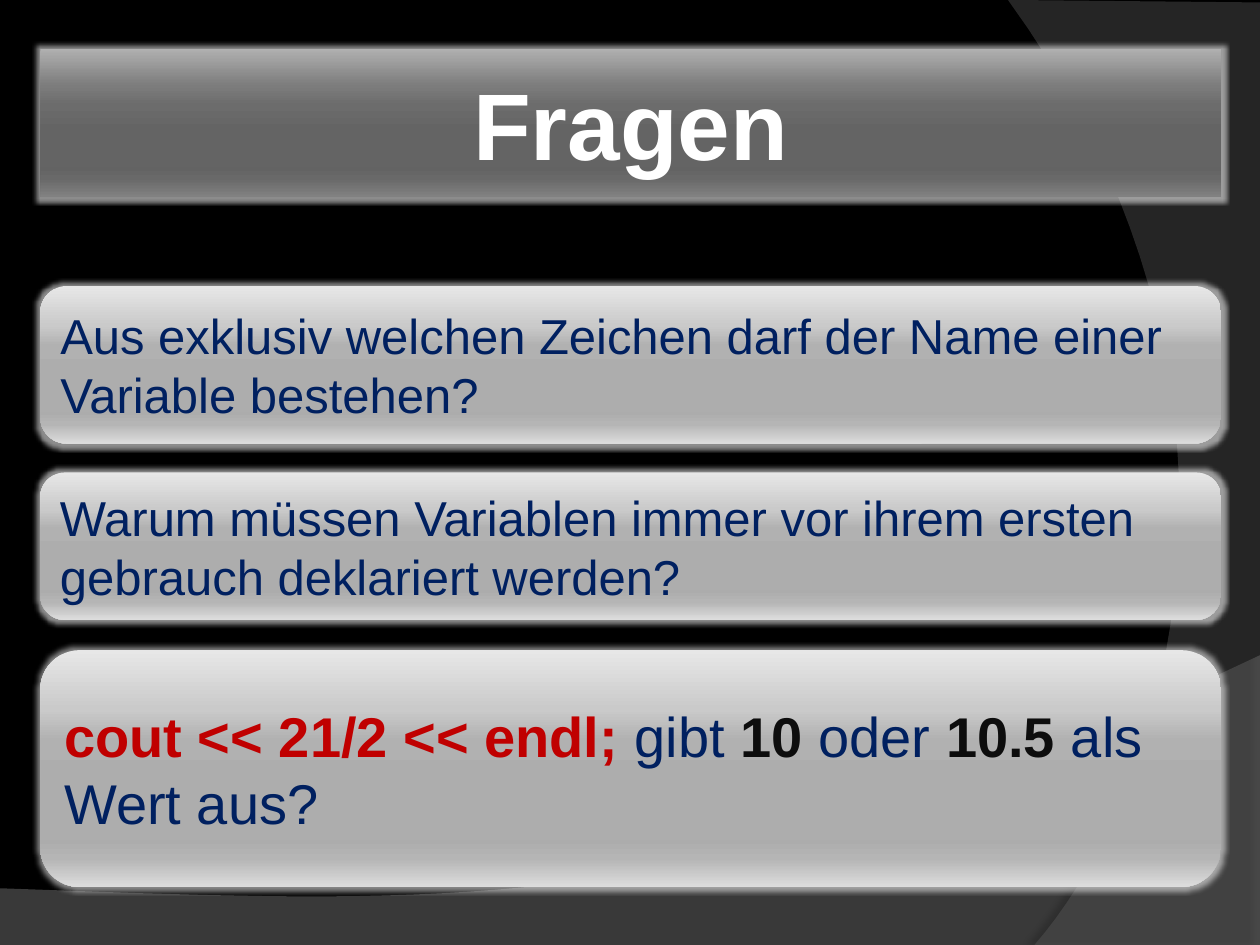
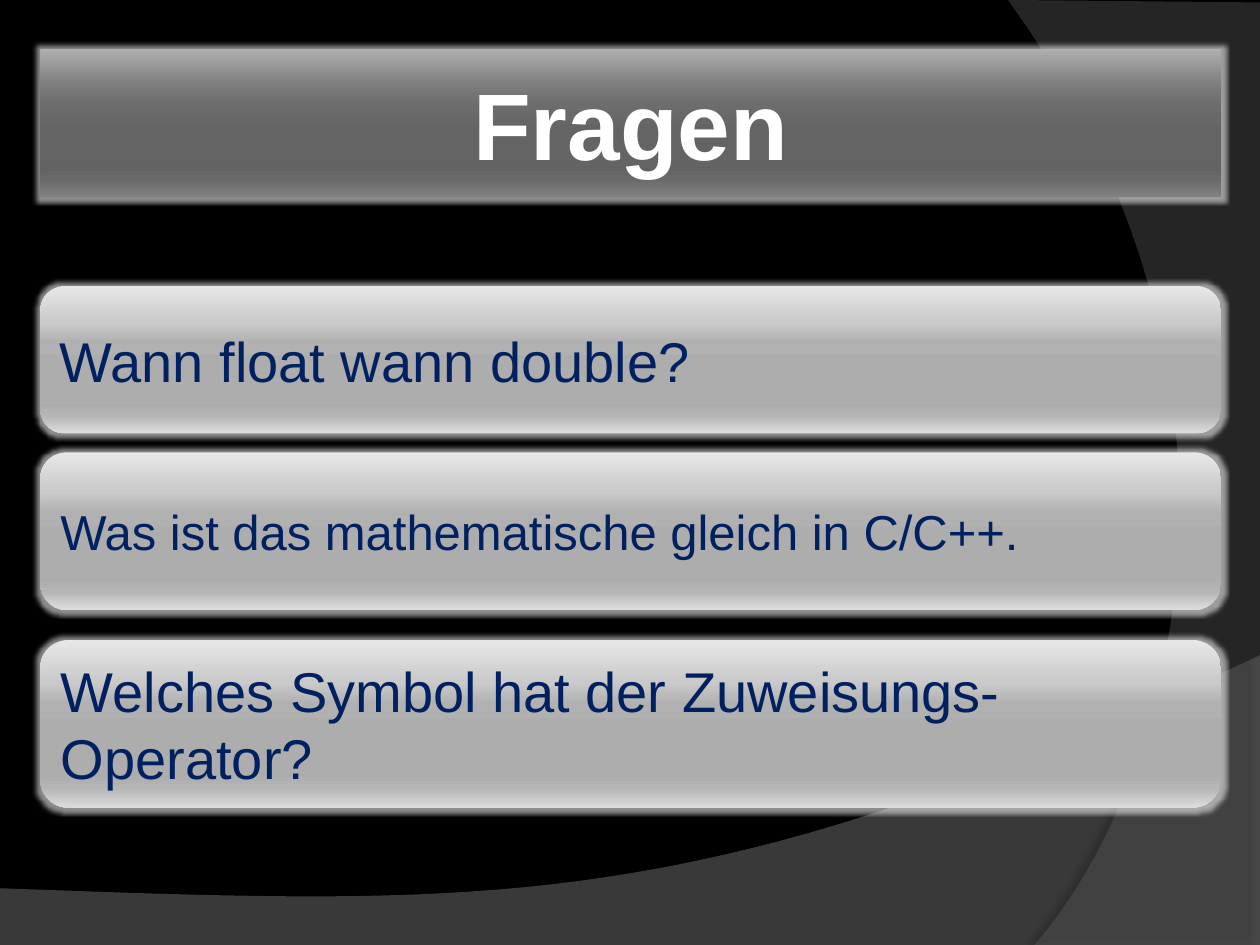
"""Builds two dark quiz slides with a title bar and three question cards each."""
from lxml.etree import SubElement
from pptx import Presentation
from pptx.dml.color import RGBColor
from pptx.enum.shapes import MSO_SHAPE
from pptx.enum.text import MSO_ANCHOR, PP_ALIGN
from pptx.oxml.ns import qn
from pptx.util import Inches, Pt

COLORS = {"back": "000000", "wave": "7F7F7F", "arc": "5E5E5E", "glow": "FFFFFF",
          "title": "FFFFFF", "text": "002060", "code": "C00000", "value": "0D0D0D"}
STOPS = (0, 25, 38, 55, 80, 88, 100)
DARK = ("AFAFAF", "7C7C7C", "6C6C6C", "646464", "636363", "696969", "818181")
LIGHT = ("E7E7E7", "CACACA", "B1B1B1", "ADADAD", "ACACAC", "B5B5B5", "DDDDDD")
FONT = "Arial"
WIDE, HIGH = 10, 7.5
EDGE, SPAN = 0.32, 9.37

SLIDES = [
    [(2.27, 1.25, 28, [("Aus exklusiv welchen Zeichen darf der Name einer "
                        "Variable bestehen?", "text", False)]),
     (3.75, 1.17, 28, [("Warum müssen Variablen immer vor ihrem ersten "
                        "gebrauch deklariert werden?", "text", False)]),
     (5.16, 1.88, 32, [("cout << 21/2 << endl; ", "code", True),
                       ("gibt ", "text", False), ("10", "value", True),
                       (" oder ", "text", False), ("10.5 ", "value", True),
                       ("als Wert aus?", "text", False)])],
    [(2.27, 1.17, 32, [("Wann float wann double?", "text", False)]),
     (3.59, 1.25, 28, [("Was ist das mathematische gleich in C/C++.", "text", False)]),
     (5.08, 1.33, 32, [("Welches Symbol hat der Zuweisungs-Operator?", "text", False)])],
]


def rgb(name):
    """Return the named colour."""
    return RGBColor.from_string(COLORS[name])


def tint(parent, code, alpha=100):
    """Add a colour with an opacity in percent to an XML node."""
    node = SubElement(parent, qn("a:srgbClr"), val=code)
    if alpha < 100:
        SubElement(node, qn("a:alpha"), val=str(alpha * 1000))


def effect(shape, kind, code, alpha, **sizes):
    """Give a shape one effect, such as a glow or an outer shadow."""
    shape.shadow.inherit = False
    group = shape.element.spPr.find(qn("a:effectLst"))
    node = SubElement(group, qn("a:" + kind), {k: str(v) for k, v in sizes.items()})
    tint(node, code, alpha)


def curve(start, one, two, end, steps=40):
    """Return points along a cubic Bezier curve."""
    points = []
    for i in range(1, steps + 1):
        t = i / steps
        u = 1 - t
        parts = (u ** 3, 3 * u * u * t, 3 * u * t * t, t ** 3)
        points.append(tuple(sum(w * p[axis] for w, p in zip(parts, (start, one, two, end)))
                            for axis in (0, 1)))
    return points


def sweep(slide, layout, points, color, alpha, shade, dist, angle):
    """Draw a translucent outline and place it on the shared layout."""
    grid = [(round(x * 1000), round(y * 1000)) for x, y in points]
    pen = slide.shapes.build_freeform(*grid[0], scale=Inches(1) / 1000)
    pen.add_line_segments(grid[1:], close=True)
    shape = pen.convert_to_shape()
    shape.fill.solid()
    shape.fill.fore_color.rgb = rgb(color)
    fill = shape.element.spPr.find(qn("a:solidFill"))
    SubElement(fill[0], qn("a:alpha"), val=str(alpha * 1000))
    shape.line.fill.background()
    effect(shape, "outerShdw", COLORS["back"], shade,
           blurRad=Pt(4), dist=Pt(dist), dir=angle * 60000)
    shape.element.nvSpPr.cNvPr.set("id", str(100 + len(layout.shapes)))
    layout.shapes.element.append(shape.element)


def scene(slide, layout):
    """Set the shared background with its wave and arc."""
    layout.background.fill.solid()
    layout.background.fill.fore_color.rgb = rgb("back")
    wave = [(0, 7.05), (0, 7.51), (WIDE, 7.51), (WIDE, 5.2)]
    wave += curve(wave[-1], (5.59, 7.29), (3.91, 7.19), wave[0])
    arc = [(WIDE, 0.02), (WIDE, HIGH), (8.21, HIGH)]
    arc += curve(arc[-1], (9.35, 6.19), (10.18, 3), (8, 0))
    sweep(slide, layout, wave, "wave", 45, 35, 3.5, 270)
    sweep(slide, layout, arc, "arc", 40, 45, 4, 180)


def gloss(shape, tones):
    """Give a shape a vertical gradient, no outline and a soft glow."""
    shape.fill.gradient()
    shape.fill.gradient_angle = 270
    stops = shape.element.spPr.find(qn("a:gradFill")).find(qn("a:gsLst"))
    for old in list(stops):
        stops.remove(old)
    for pos, tone in zip(STOPS, tones):
        tint(SubElement(stops, qn("a:gs"), pos=str(pos * 1000)), tone)
    shape.line.fill.background()
    effect(shape, "glow", COLORS["glow"], 55, rad=Pt(5))


def write(shape, runs, size, align):
    """Write coloured runs into one vertically centred paragraph."""
    frame = shape.text_frame
    frame.word_wrap = True
    frame.vertical_anchor = MSO_ANCHOR.MIDDLE
    para = frame.paragraphs[0]
    para.alignment = align
    para.font.name = FONT
    para.font.size = Pt(size)
    for text, color, bold in runs:
        run = para.add_run()
        run.text = text
        run.font.bold = bold
        run.font.color.rgb = rgb(color)


def header(slide, text):
    """Turn the title placeholder into the rounded title bar."""
    title = slide.shapes.title
    title.left, title.top = Inches(EDGE), Inches(0.39)
    title.width, title.height = Inches(SPAN), Inches(1.17)
    shape = SubElement(title.element.spPr, qn("a:prstGeom"), prst="roundRect")
    SubElement(shape, qn("a:avLst"))
    gloss(title, DARK)
    write(title, [(text, "title", True)], 54, PP_ALIGN.CENTER)


def card(slide, top, high, size, runs):
    """Add one question card."""
    shape = slide.shapes.add_shape(MSO_SHAPE.ROUNDED_RECTANGLE, Inches(EDGE),
                                   Inches(top), Inches(SPAN), Inches(high))
    gloss(shape, LIGHT)
    write(shape, runs, size, PP_ALIGN.LEFT)


def main():
    """Build and save the deck."""
    deck = Presentation()
    deck.slide_width, deck.slide_height = Inches(WIDE), Inches(HIGH)
    layout = deck.slide_layouts[5]
    for index, cards in enumerate(SLIDES):
        slide = deck.slides.add_slide(layout)
        if index == 0:
            scene(slide, layout)
        header(slide, "Fragen")
        for item in cards:
            card(slide, *item)
    deck.save("out.pptx")


main()
